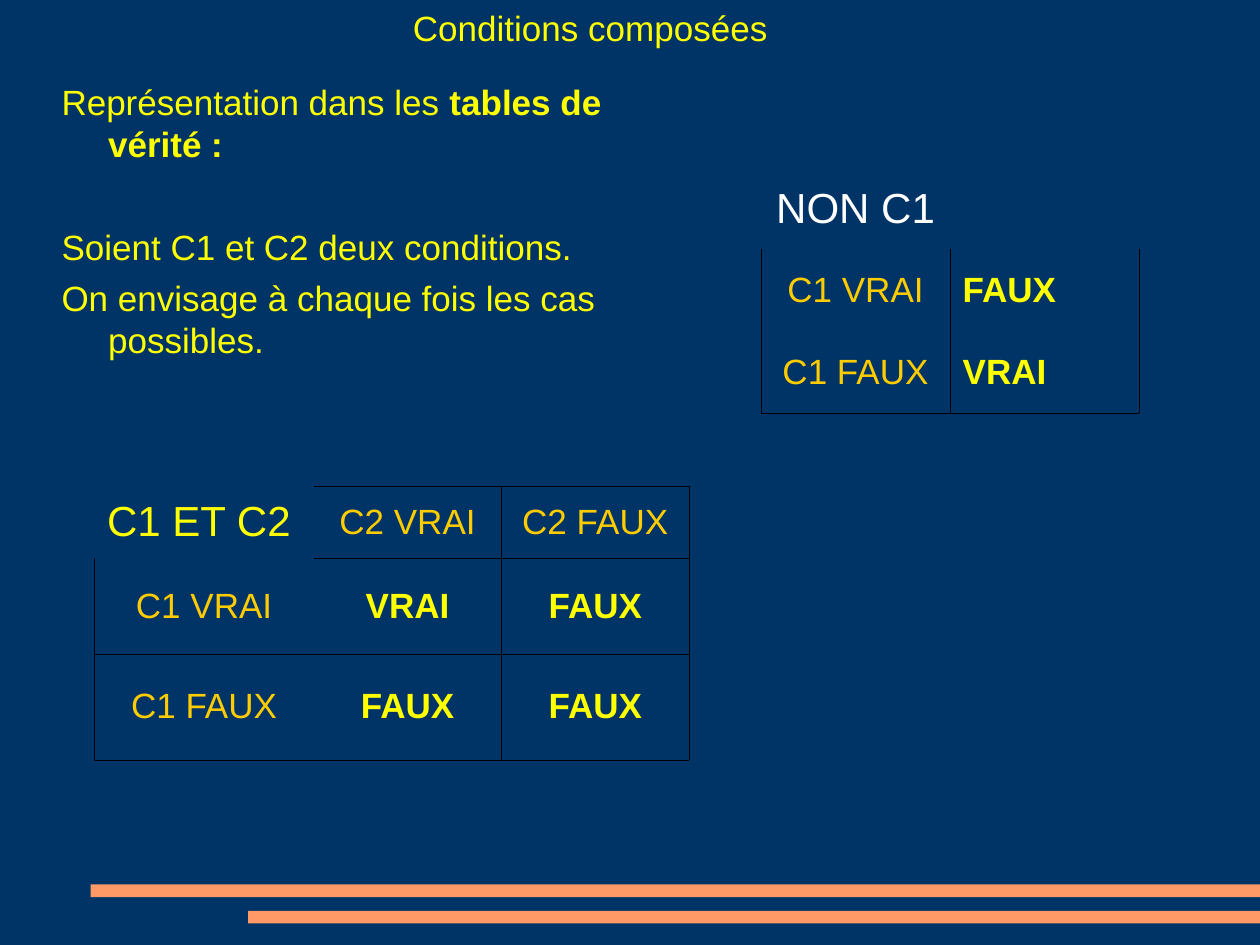
import pptx
import pptx.util
import pptx.dml.color
import pptx.enum.shapes
import pptx.enum.text
import lxml.etree

COLORS = {"background": "003366", "bar": "FF9966", "text": "FFFF00",
          "condition": "FFCC00", "negation": "FFFFFF", "border": "000000"}
WIDTH, HEIGHT = 10, 7.5
FONT = "Arial"
BODY, HEADING = 20, 24
CENTER = pptx.enum.text.PP_ALIGN.CENTER
LEFT = pptx.enum.text.PP_ALIGN.LEFT
SIDES = {"l": "a:lnL", "r": "a:lnR", "t": "a:lnT", "b": "a:lnB"}

inches = pptx.util.Inches


def rgb(name):
    return pptx.dml.color.RGBColor.from_string(COLORS[name])


def add_run(paragraph, text, color="text", size=BODY, bold=False):
    run = paragraph.add_run()
    run.text = text
    run.font.name = FONT
    run.font.size = pptx.util.Pt(size)
    run.font.bold = bold
    run.font.color.rgb = rgb(color)


def add_bar(slide, left, top):
    """Decorative bar running to the right edge."""
    bar = slide.shapes.add_shape(
        pptx.enum.shapes.MSO_SHAPE.RECTANGLE,
        inches(left), inches(top), inches(WIDTH - left), inches(0.1))
    bar.shadow.inherit = False
    bar.fill.solid()
    bar.fill.fore_color.rgb = rgb("bar")
    bar.line.fill.background()


def add_text(slide, box, paragraphs, align=LEFT, hanging=0):
    """Each paragraph is (space before, [(text, bold), ...])."""
    frame = slide.shapes.add_textbox(*map(inches, box)).text_frame
    frame.word_wrap = True
    for index, (space, runs) in enumerate(paragraphs):
        paragraph = frame.paragraphs[0] if index == 0 else frame.add_paragraph()
        paragraph.alignment = align
        paragraph.space_before = pptx.util.Pt(space)
        if hanging:
            properties = paragraph._p.get_or_add_pPr()
            properties.set("marL", str(inches(hanging)))
            properties.set("indent", str(-inches(hanging)))
        for text, bold in runs:
            add_run(paragraph, text, bold=bold)


def set_borders(cell, drawn):
    properties = cell._tc.get_or_add_tcPr()
    for position, (side, tag) in enumerate(SIDES.items()):
        line = lxml.etree.Element(pptx.oxml.ns.qn(tag), w=str(pptx.util.Pt(0.06)))
        if side in drawn:
            fill = lxml.etree.SubElement(line, pptx.oxml.ns.qn("a:solidFill"))
            lxml.etree.SubElement(fill, pptx.oxml.ns.qn("a:srgbClr"),
                                  val=COLORS["border"])
        else:
            lxml.etree.SubElement(line, pptx.oxml.ns.qn("a:noFill"))
        properties.insert(position, line)


def add_truth_table(slide, left, top, columns, rows, cells, borders,
                    title_color, title_align, value_align):
    """The corner holds the title, the first row and column the conditions."""
    table = slide.shapes.add_table(
        len(rows), len(columns), inches(left), inches(top),
        inches(sum(columns)), inches(sum(rows))).table
    table.first_row = table.horz_banding = False
    for column, width in zip(table.columns, columns):
        column.width = inches(width)
    for row, height in zip(table.rows, rows):
        row.height = inches(height)
    for r, texts in enumerate(cells):
        for c, text in enumerate(texts):
            cell = table.cell(r, c)
            cell.fill.background()
            cell.vertical_anchor = pptx.enum.text.MSO_ANCHOR.MIDDLE
            set_borders(cell, borders[r][c])
            if not text:
                continue
            paragraph = cell.text_frame.paragraphs[0]
            if r == c == 0:
                paragraph.alignment = title_align
                add_run(paragraph, text, title_color, HEADING)
            elif r == 0 or c == 0:
                paragraph.alignment = CENTER
                add_run(paragraph, text, "condition")
            else:
                paragraph.alignment = value_align
                add_run(paragraph, text, bold=True)


def main():
    deck = pptx.Presentation()
    deck.slide_width, deck.slide_height = inches(WIDTH), inches(HEIGHT)
    slide = deck.slides.add_slide(deck.slide_layouts[6])
    slide.background.fill.solid()
    slide.background.fill.fore_color.rgb = rgb("background")

    # Footer bars
    add_bar(slide, 0.72, 7.02)
    add_bar(slide, 1.97, 7.23)

    # Introduction
    add_text(slide, (0.39, 0.59, 4.53, 4.5), [
        (0, [("Représentation dans les ", False), ("tables de vérité :", True)]),
        (35, [("Soient C1 et C2 deux conditions.", False)]),
        (5, [("On envisage à chaque fois les cas possibles.", False)]),
    ], hanging=0.37)

    # Conjunction
    add_truth_table(
        slide, 0.75, 3.86, [1.74, 1.49, 1.49], [0.57, 0.76, 0.84],
        [["C1 ET C2", "C2 VRAI", "C2 FAUX"],
         ["C1 VRAI", "VRAI", "FAUX"],
         ["C1 FAUX", "FAUX", "FAUX"]],
        [["", "rtb", "lrtb"], ["lb", "rtb", "lrtb"], ["ltb", "rtb", "lrtb"]],
        "text", LEFT, CENTER)

    # Negation
    add_truth_table(
        slide, 6.04, 1.33, [1.5] * 2, [0.65] * 3,
        [["NON C1", ""], ["C1 VRAI", "FAUX"], ["C1 FAUX", "VRAI"]],
        [["", ""], ["lr", "lr"], ["lrb", "lrb"]],
        "negation", CENTER, LEFT)

    # Title
    add_text(slide, (0.43, 0, 8.51, 0.44),
             [(0, [("Conditions composées", False)])], align=CENTER)

    deck.save("out.pptx")


if __name__ == "__main__":
    main()
